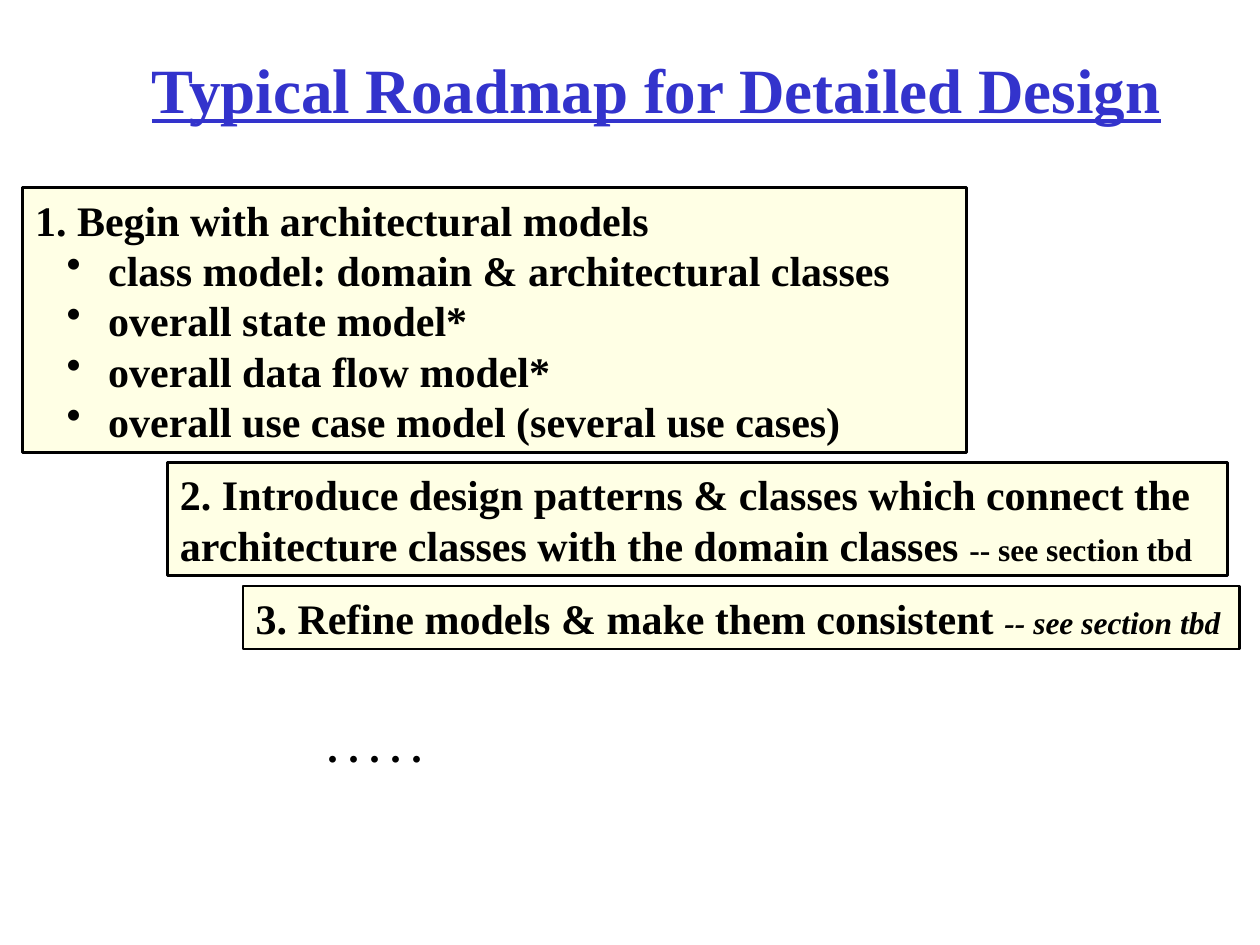
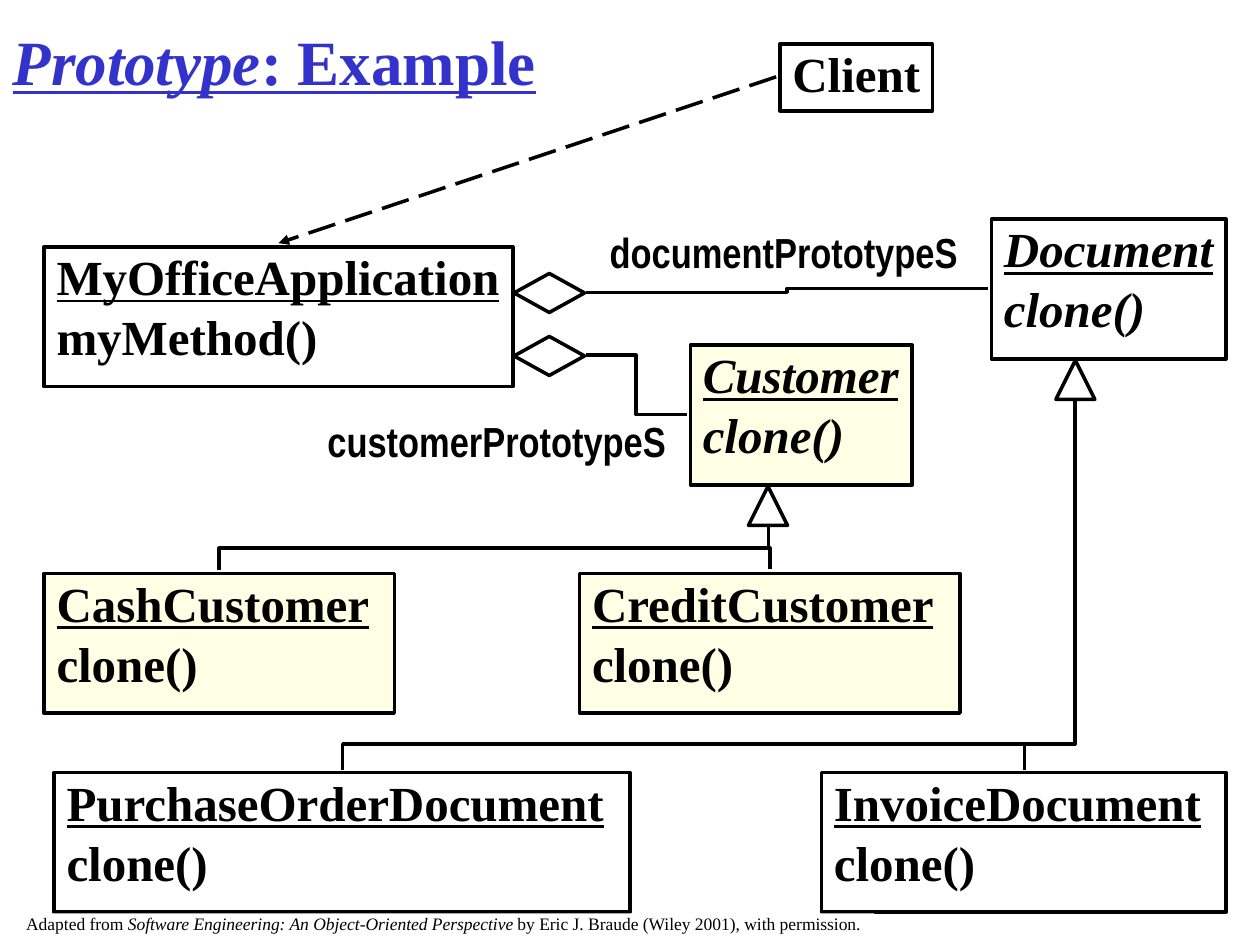
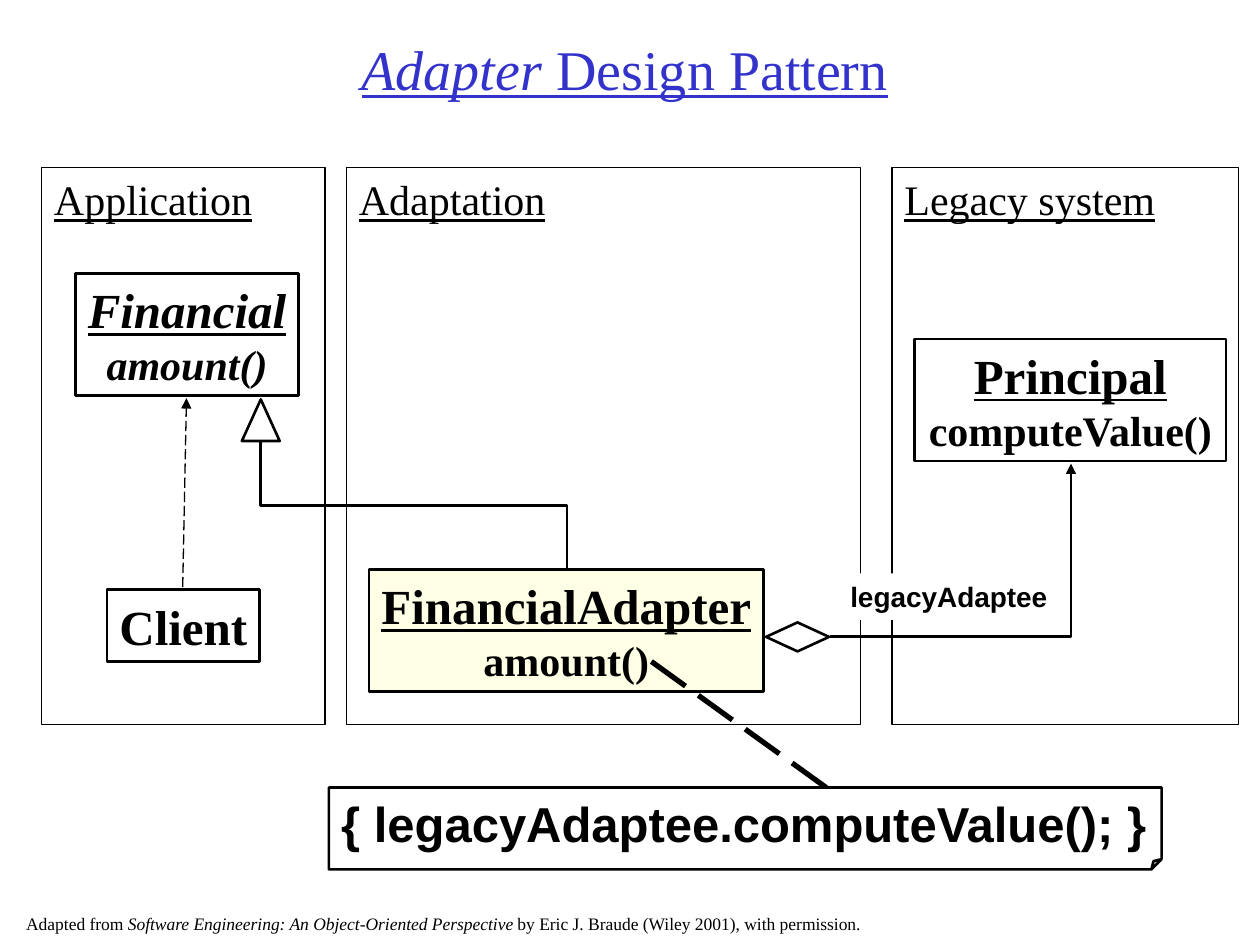
import pptx
import pptx.util
import pptx.dml.color
import pptx.enum.dml
import pptx.enum.shapes
import pptx.enum.text
import pptx.oxml
import pptx.oxml.ns

PX = 9144  # EMU per px, 100 px to the inch
COLORS = {"title": "3333CC", "ink": "000000", "paper": "FFFFFF", "cream": "FFFFE5"}
SERIF, SANS, NARROW = "Times New Roman", "Arial", "Arial Narrow"
SHAPE = pptx.enum.shapes.MSO_SHAPE
ALIGN = pptx.enum.text.PP_ALIGN
ANCHOR = pptx.enum.text.MSO_ANCHOR
RGB = pptx.dml.color.RGBColor.from_string
qn = pptx.oxml.ns.qn
TITLE, TEXT = "title", "text"

BOLD = {"bold": True}
UNDER = {"bold": True, "underline": True}
ABSTRACT = {"bold": True, "italic": True}
ABSTRACT_UNDER = {**ABSTRACT, "underline": True}
CREDIT = [[
    ("Adapted from ", {}),
    ("Software Engineering: An Object-Oriented Perspective ", {"italic": True}),
    ("by Eric J. Braude (Wiley 2001), with permission.", {}),
]]


def put(s, kind, at, paras=(), fill=None, line=None, size=28, font=SERIF, color="ink",
        align=ALIGN.LEFT, anchor=ANCHOR.MIDDLE, wrap=False, inset=(5, 5),
        spacing=None, before=0, bullets_from=None):
    """Place a title, text box or preset shape; each paragraph is a list of (text, format)."""
    box = [v * PX for v in at]
    if kind == TITLE:
        sp = s.shapes.title
        sp.left, sp.top, sp.width, sp.height = box
    elif kind == TEXT:
        sp = s.shapes.add_textbox(*box)
    else:
        sp = s.shapes.add_shape(kind, *box)
        sp.shadow.inherit = False
    if fill:
        sp.fill.solid()
        sp.fill.fore_color.rgb = RGB(COLORS[fill])
    else:
        sp.fill.background()
    if line:
        sp.line.color.rgb = RGB(COLORS["ink"])
        sp.line.width = pptx.util.Pt(line)
    else:
        sp.line.fill.background()

    tf = sp.text_frame
    tf.auto_size = pptx.enum.text.MSO_AUTO_SIZE.NONE
    tf.word_wrap = wrap
    tf.vertical_anchor = anchor
    tf.margin_left = tf.margin_right = 10 * PX
    tf.margin_top, tf.margin_bottom = [v * PX for v in inset]
    for i, runs in enumerate(paras):
        p = tf.add_paragraph() if i else tf.paragraphs[0]
        p.alignment = align
        if spacing:
            p.line_spacing = spacing
        if i and before:
            p.space_before = pptx.util.Pt(before)
        if bullets_from is not None and i >= bullets_from:
            pPr = p._p.get_or_add_pPr()
            pPr.set("marL", str(58 * PX))
            pPr.set("indent", str(-33 * PX))
            pPr.append(pptx.oxml.parse_xml(
                f'<a:buChar {pptx.oxml.ns.nsdecls("a")} char="•"/>'))
        for words, fmt in runs:
            r = p.add_run()
            r.text = words
            r.font.name = font
            r.font.size = pptx.util.Pt(fmt.get("size", size))
            r.font.color.rgb = RGB(COLORS[color])
            r.font.bold = fmt.get("bold", False)
            r.font.italic = fmt.get("italic", False)
            r.font.underline = fmt.get("underline", False)
    return sp


def link(s, x1, y1, x2, y2, width, route="straight", bend=50, dash=False, arrow=False):
    """Join two points; route is straight, across (H-V-H), upright (V-H-V) or corner (H-V)."""
    kinds = pptx.enum.shapes.MSO_CONNECTOR
    kind = kinds.STRAIGHT if route == "straight" else kinds.ELBOW
    cx = s.shapes.add_connector(kind, x1 * PX, y1 * PX, x2 * PX, y2 * PX)
    cx.line.color.rgb = RGB(COLORS["ink"])
    cx.line.width = pptx.util.Pt(width)
    if dash:
        cx.line.dash_style = pptx.enum.dml.MSO_LINE.LONG_DASH
    spPr = cx._element.spPr
    geom = spPr.find(qn("a:prstGeom"))
    if route == "corner":
        geom.set("prst", "bentConnector2")
    elif route != "straight":
        geom.rewrite_guides([("adj1", bend * 1000)])
    if route == "upright":
        w, h = abs(y2 - y1), abs(x2 - x1)
        cx.left, cx.top = (x1 + x2 - w) * PX // 2, (y1 + y2 - h) * PX // 2
        cx.width, cx.height = w * PX, h * PX
        down = y2 > y1
        xfrm = spPr.find(qn("a:xfrm"))
        xfrm.set("rot", "5400000" if down else "16200000")
        xfrm.set("flipH", "0")
        xfrm.set("flipV", "1" if down == (x2 > x1) else "0")
    if arrow:
        ln = spPr.find(qn("a:ln"))
        ln.append(ln.makeelement(qn("a:tailEnd"), {"type": "triangle"}))
    spPr.append(spPr.makeelement(qn("a:effectLst"), {}))


prs = pptx.Presentation()
prs.slide_width, prs.slide_height = 1000 * PX, 750 * PX
title_only = prs.slide_layouts[5]

# Slide 1: roadmap
s = prs.slides.add_slide(title_only)
put(s, TITLE, (75, 33, 892, 75), [[("Typical Roadmap for Detailed Design", UNDER)]],
    size=36, color="title", align=ALIGN.CENTER, wrap=True)
first_step = [
    "1. Begin with architectural models",
    "class model: domain & architectural classes",
    "overall state model*",
    "overall data flow model*",
    "overall use case model (several use cases)",
]
steps = [
    ((18, 149, 749, 210), [[(words, BOLD)] for words in first_step]),
    ((133, 367, 841, 90), [[
        ("2. Introduce design patterns & classes which connect the "
         "architecture classes with the domain classes ", BOLD),
        ("-- see section tbd", {**BOLD, "size": 18})]]),
    ((193, 465, 791, 50), [[
        ("3. Refine models & make them consistent ", BOLD),
        ("-- see section tbd", {**ABSTRACT, "size": 18})]]),
]
for at, paras in steps:
    put(s, SHAPE.FLOWCHART_PROCESS, at, paras, fill="cream", line=1.5, size=24,
        wrap=True, bullets_from=1)
put(s, TEXT, (250, 567, 95, 50), [[(". . . . .", BOLD)]], size=24, anchor=ANCHOR.TOP)

# Slide 2: Prototype class diagram
s = prs.slides.add_slide(title_only)
put(s, TITLE, (0, 4, 992, 79), [[("Prototype", ABSTRACT_UNDER), (": Example", UNDER)]],
    size=36, color="title", anchor=ANCHOR.BOTTOM, wrap=True)

for x, y, x2, y2, bend in [(813, 611, 853, 318, 7), (272, 611, 853, 318, 7),
                           (174, 452, 610, 418, 50), (611, 452, 610, 418, 50)]:
    link(s, x, y, x2, y2, 2, "upright", bend)
for x, y, x2, y2 in [(784, 229, 465, 232), (545, 329, 465, 282)]:
    link(s, x, y, x2, y2, 2, "across")
link(s, 616, 61, 221, 193, 2, dash=True, arrow=True)

classes = [
    ("MyOfficeApplication", "myMethod()", (35, 196, 372), "paper", False),
    ("Document", "clone()", (787, 174, 186), "paper", True),
    ("Customer", "clone()", (548, 274, 176), "cream", True),
    ("CashCustomer", "clone()", (35, 455, 278), "cream", False),
    ("CreditCustomer", "clone()", (460, 455, 302), "cream", False),
    ("PurchaseOrderDocument", "clone()", (43, 613, 457), "paper", False),
    ("InvoiceDocument", "clone()", (652, 613, 321), "paper", False),
]
for name, method, at, fill, abstract in classes:
    put(s, SHAPE.RECTANGLE, (*at, 111),
        [[(name, ABSTRACT_UNDER if abstract else UNDER)],
         [(method, ABSTRACT if abstract else BOLD)]],
        fill=fill, line=2, inset=(20, 20), spacing=0.5, before=17.5)
put(s, SHAPE.RECTANGLE, (619, 35, 121, 53), [[("Client", BOLD)]],
    fill="paper", line=2, inset=(20, 10), spacing=0.5)

for x, y in [(838, 286), (594, 386)]:
    put(s, SHAPE.ISOSCELES_TRIANGLE, (x, y, 31, 31), line=2)
for y in (217, 267):
    put(s, SHAPE.DIAMOND, (408, y, 56, 31), fill="paper", line=2)
for role, at in [("documentPrototypeS", (474, 175, 296, 50)),
                 ("customerPrototypeS", (250, 325, 289, 50))]:
    put(s, TEXT, at, [[(role, BOLD)]], size=24, font=NARROW, anchor=ANCHOR.TOP)

# Slide 3: Adapter class diagram
s = prs.slides.add_slide(title_only)
put(s, TITLE, (17, 25, 958, 58),
    [[("Adapter", {"italic": True, "underline": True}),
      (" Design Pattern", {"underline": True})]],
    size=32, color="title", align=ALIGN.CENTER, wrap=True)

for name, x, w in [("Application", 33, 225), ("Adaptation", 275, 408),
                   ("Legacy system", 708, 275)]:
    put(s, SHAPE.RECTANGLE, (x, 133, w, 442), [[(name, {"underline": True})]],
        line=0.75, size=24, anchor=ANCHOR.TOP)

classes = [
    ("FinancialAdapter", "amount()", (293, 452, 313), "cream", False),
    ("Financial", "amount()", (60, 217, 177), "paper", True),
    ("Principal", "computeValue()", (726, 269, 247), "paper", False),
]
for name, method, at, fill, abstract in classes:
    put(s, SHAPE.RECTANGLE, (*at, 97),
        [[(name, ABSTRACT_UNDER if abstract else UNDER)],
         [(method, {**(ABSTRACT if abstract else BOLD), "size": 24})]],
        fill=fill, line=1.5, align=ALIGN.CENTER)
put(s, SHAPE.RECTANGLE, (85, 468, 121, 57), [[("Client", BOLD)]],
    fill="paper", line=1.5, align=ALIGN.CENTER)

link(s, 517, 525, 725, 675, 3, dash=True)
link(s, 659, 505, 850, 368, 1.5, "corner", arrow=True)
link(s, 207, 351, 450, 451, 1.5, "upright")
link(s, 145, 466, 148, 316, 0.75, dash=True, arrow=True)
put(s, SHAPE.DIAMOND, (608, 494, 50, 23), fill="paper", line=1.5)
put(s, SHAPE.ISOSCELES_TRIANGLE, (192, 317, 30, 33), fill="paper", line=1.5)
put(s, SHAPE.RECTANGLE, (665, 455, 176, 37), [[("legacyAdaptee", BOLD)]],
    fill="paper", size=16, font=SANS, anchor=ANCHOR.TOP)
note = put(s, SHAPE.FOLDED_CORNER, (261, 625, 661, 65),
           [[("{ legacyAdaptee.computeValue(); }", BOLD)]],
           fill="paper", line=1.5, font=SANS, anchor=ANCHOR.TOP)
note._element.spPr.find(qn("a:prstGeom")).rewrite_guides([("adj", 12500)])

# Source credit on both diagrams
for s in list(prs.slides)[1:]:
    put(s, SHAPE.RECTANGLE, (11, 725, 683, 17), CREDIT, fill="paper", size=10,
        anchor=ANCHOR.TOP, inset=(0, 0))

prs.save("out.pptx")
